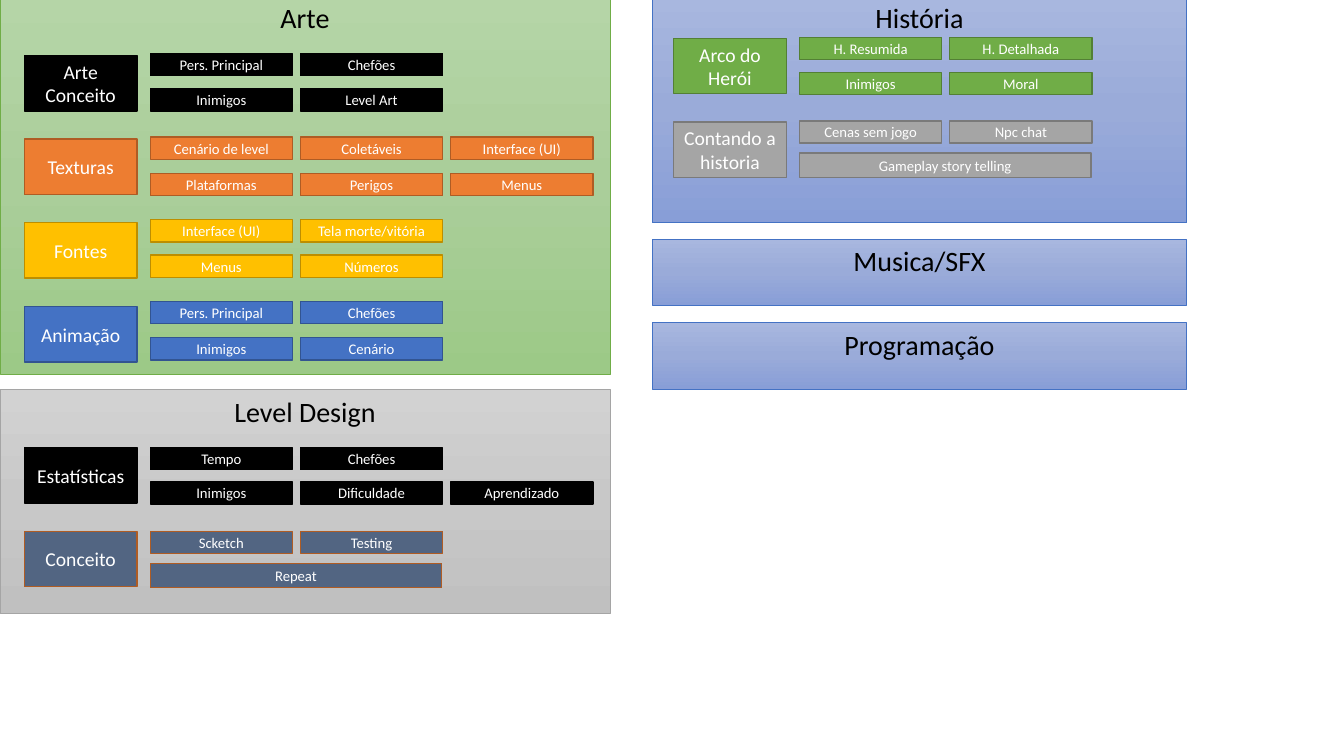
from copy import deepcopy
from dataclasses import dataclass

from pptx import Presentation
from pptx.dml.color import RGBColor
from pptx.enum.shapes import MSO_SHAPE as Preset
from pptx.enum.text import MSO_ANCHOR as Anchor, PP_ALIGN as Align
from pptx.util import Inches, Pt

FONT = "Calibri"
LABEL_WIDTH, LABEL_HEIGHT, LABEL_PITCH = 1.12, 0.55, 0.83
CHIP_WIDTH, CHIP_HEIGHT, CHIP_PITCH, CHIP_OFFSET = 1.41, 0.22, 1.49, 1.25
WIDE_WIDTH, WIDE_HEIGHT = 2.89, 0.24


@dataclass(frozen=True)
class Palette:
    fills: tuple[str, ...]
    line: str


@dataclass(frozen=True)
class Row:
    offset: float
    chips: tuple[str, ...]
    wide: bool = False


@dataclass(frozen=True)
class Topic:
    label: str
    palette: Palette
    rows: tuple[Row, ...]


@dataclass(frozen=True)
class Area:
    title: str
    box: tuple[float, float, float, float]
    palette: Palette
    first_label: tuple[float, float] = (0, 0)
    topics: tuple[Topic, ...] = ()


BLACK = Palette(("000000",), "000000")
ORANGE = Palette(("ED7D31",), "AF5C24")
GOLD = Palette(("FFC000",), "BD8E00")
BLUE = Palette(("4472C4",), "325491")
SLATE = Palette(("526582",), "AF5C24")
GREEN = Palette(("70AD47",), "538035")
GRAY = Palette(("A5A5A5",), "7A7A7A")
GREEN_FADE = Palette(("B5D5A7", "AACE9A", "9CC987"), "70AD47")
GRAY_FADE = Palette(("D2D2D2", "C8C8C8", "C0C0C0"), "A5A5A5")
BLUE_FADE = Palette(("A8B7DF", "9AABD9", "889ED7"), "4472C4")

AREAS = (
    Area("Arte", (0, -0.04, 6.05, 3.75), GREEN_FADE, (0.24, 0.55), (
        Topic("Arte Conceito", BLACK, (
            Row(-0.02, ("Pers. Principal", "Chefões")),
            Row(0.33, ("Inimigos", "Level Art")))),
        Topic("Texturas", ORANGE, (
            Row(-0.02, ("Cenário de level", "Coletáveis", "Interface (UI)")),
            Row(0.34, ("Plataformas", "Perigos", "Menus")))),
        Topic("Fontes", GOLD, (
            Row(-0.03, ("Interface (UI)", "Tela morte/vitória")),
            Row(0.32, ("Menus", "Números")))),
        Topic("Animação", BLUE, (
            Row(-0.05, ("Pers. Principal", "Chefões")),
            Row(0.31, ("Inimigos", "Cenário")))))),
    Area("Level Design", (0, 3.86, 6.05, 2.23), GRAY_FADE, (0.24, 4.44), (
        Topic("Estatísticas", BLACK, (
            Row(0, ("Tempo", "Chefões")),
            Row(0.34, ("Inimigos", "Dificuldade", "Aprendizado")))),
        Topic("Conceito", SLATE, (
            Row(0, ("Scketch", "Testing")),
            Row(0.32, ("Repeat",), wide=True))))),
    Area("História", (6.47, -0.04, 5.3, 2.25), BLUE_FADE, (6.68, 0.38), (
        Topic("Arco do Herói", GREEN, (
            Row(-0.01, ("H. Resumida", "H. Detalhada")),
            Row(0.34, ("Inimigos", "Moral")))),
        Topic("Contando a historia", GRAY, (
            Row(-0.01, ("Cenas sem jogo", "Npc chat")),
            Row(0.31, ("Gameplay story telling",), wide=True))))),
    Area("Musica/SFX", (6.47, 2.37, 5.3, 0.66), BLUE_FADE),
    Area("Programação", (6.47, 3.2, 5.3, 0.66), BLUE_FADE),
)


def rgb(color: str) -> RGBColor:
    return RGBColor.from_string(color)


def paint(fill, colors: tuple[str, ...]) -> None:
    if len(colors) == 1:
        fill.solid()
        fill.fore_color.rgb = rgb(colors[0])
        return
    fill.gradient()
    fill.gradient_angle = 270
    stop_list = fill._xPr.gradFill.gsLst
    while len(stop_list) < len(colors):
        stop_list.append(deepcopy(stop_list[0]))
    for index, (stop, color) in enumerate(zip(fill.gradient_stops, colors)):
        stop.position = index / (len(colors) - 1)
        stop.color.rgb = rgb(color)


def draw_box(slide, text: str, box: tuple[float, float, float, float],
             palette: Palette, size: float, color: str = "FFFFFF",
             line_width: float = 1, anchor: Anchor = Anchor.MIDDLE) -> None:
    process = slide.shapes.add_shape(
        Preset.FLOWCHART_PROCESS, *(Inches(length) for length in box))
    process.shadow.inherit = False
    paint(process.fill, palette.fills)
    process.line.color.rgb = rgb(palette.line)
    process.line.width = Pt(line_width)
    frame = process.text_frame
    frame.text = text
    frame.word_wrap = True
    frame.vertical_anchor = anchor
    paragraph = frame.paragraphs[0]
    paragraph.alignment = Align.CENTER
    font = paragraph.runs[0].font
    font.name, font.size = FONT, Pt(size)
    font.color.rgb = rgb(color)


def draw_topic(slide, topic: Topic, left: float, top: float) -> None:
    draw_box(slide, topic.label, (left, top, LABEL_WIDTH, LABEL_HEIGHT),
             topic.palette, 14)
    for row in topic.rows:
        width, height = ((WIDE_WIDTH, WIDE_HEIGHT) if row.wide
                         else (CHIP_WIDTH, CHIP_HEIGHT))
        for column, chip in enumerate(row.chips):
            chip_left = left + CHIP_OFFSET + column * CHIP_PITCH
            draw_box(slide, chip, (chip_left, top + row.offset, width, height),
                     topic.palette, 10.5)


def draw_area(slide, area: Area) -> None:
    draw_box(slide, area.title, area.box, area.palette, 20, "000000", 0.5, Anchor.TOP)
    left, top = area.first_label
    for index, topic in enumerate(area.topics):
        draw_topic(slide, topic, left, top + index * LABEL_PITCH)


deck = Presentation()
deck.slide_width, deck.slide_height = Inches(13.33), Inches(7.5)
board = deck.slides.add_slide(deck.slide_layouts[6])
for area in AREAS:
    draw_area(board, area)
deck.save("out.pptx")
